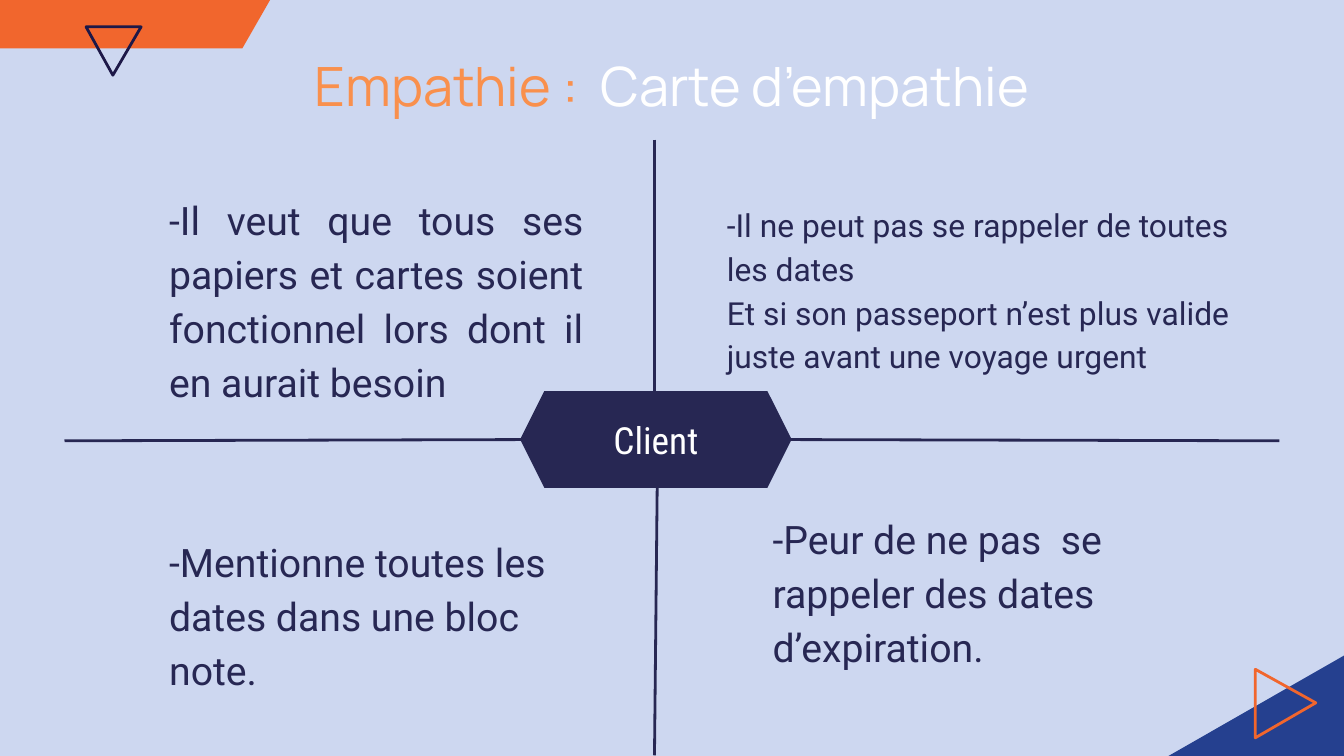
"""Build the client empathy map slide."""
from lxml import etree
from pptx import Presentation
from pptx.dml.color import RGBColor
from pptx.enum.shapes import MSO_CONNECTOR, MSO_SHAPE
from pptx.enum.text import MSO_ANCHOR, MSO_AUTO_SIZE, PP_ALIGN
from pptx.oxml.ns import qn
from pptx.util import Inches, Pt

LEFT, CENTER, JUSTIFY = PP_ALIGN.LEFT, PP_ALIGN.CENTER, PP_ALIGN.JUSTIFY
TOP, MIDDLE = MSO_ANCHOR.TOP, MSO_ANCHOR.MIDDLE
NO_FIT, FIT_SHAPE = MSO_AUTO_SIZE.NONE, MSO_AUTO_SIZE.SHAPE_TO_FIT_TEXT
HEXAGON, DIAMOND = MSO_SHAPE.HEXAGON, MSO_SHAPE.DIAMOND
STRAIGHT = MSO_CONNECTOR.STRAIGHT

THEME = {
    "background": "CDD7F0", "navy": "272753", "ink": "1D1848", "blue": "25408F",
    "orange": "F1662D", "peach": "F9904D", "white": "FFFFFF",
    "title_font": "Manrope", "body_font": "Roboto", "label_font": "Roboto Condensed",
    "title_size": 29, "label_size": 20, "body_size": 21, "small_size": 17,
    "line_width": 1.5,
}

TITLE = [[("Empathie :  ", "peach"), ("Carte d’empathie", "white")]]
CENTER_LABEL = [[("Client", "white")]]
QUADRANTS = [
    ((1.16, 1.31, 3.28, 1.77), "body_size", JUSTIFY,
     ["-Il veut que tous ses papiers et cartes soient fonctionnel lors dont il en aurait besoin"]),
    ((5.31, 1.39, 3.98, 1.48), "small_size", LEFT,
     ["-Il ne peut pas se rappeler de toutes les dates",
      "Et si son passeport n’est plus valide juste avant une voyage urgent"]),
    ((5.65, 3.68, 3.28, 1.37), "body_size", LEFT,
     ["-Peur de ne pas  se rappeler des dates d’expiration."]),
    ((1.16, 3.85, 3.28, 1.37), "body_size", LEFT,
     ["-Mentionne toutes les dates dans une bloc note."]),
]
AXES = [
    ((5.46, 3.27), (9.52, 3.28)),
    ((0.48, 3.28), (4.3, 3.27)),
    ((4.89, 3.63), (4.87, 5.62)),
    ((4.87, 1.04), (4.87, 2.91)),
]
CORNERS = [
    (HEXAGON, (-0.22, -0.36, 2.23, 0.72), "orange", 0.286),
    (DIAMOND, (8.66, 4.81, 2.92, 1.67), "blue", None),
]
TRIANGLES = [
    ([(1.05, 0.2), (0.84, 0.56), (0.64, 0.2)], "ink"),
    ([(9.34, 4.98), (9.79, 5.23), (9.34, 5.49)], "orange"),
]


def color(name):
    return RGBColor.from_string(THEME[name])


def write_text(shape, paragraphs, *, font, size, align=LEFT, anchor=TOP,
               spacing=1.0, after=0, fit=NO_FIT):
    frame = shape.text_frame
    frame.word_wrap = True
    frame.auto_size = fit
    frame.vertical_anchor = anchor
    frame.margin_left = frame.margin_right = Inches(0.1)
    frame.margin_top = frame.margin_bottom = Inches(0.1)
    for index, spans in enumerate(paragraphs):
        para = frame.add_paragraph() if index else frame.paragraphs[0]
        para.alignment = align
        para.line_spacing = spacing
        para.space_after = Pt(after if index == len(paragraphs) - 1 else 0)
        for text, tint in spans:
            span = para.add_run()
            span.text = text
            span.font.name = THEME[font]
            span.font.size = Pt(THEME[size])
            span.font.color.rgb = color(tint)


def add_box(page, bounds):
    return page.shapes.add_textbox(*map(Inches, bounds))


def add_solid(page, kind, bounds, fill, adjustment=None):
    shape = page.shapes.add_shape(kind, *map(Inches, bounds))
    shape.shadow.inherit = False
    shape.fill.solid()
    shape.fill.fore_color.rgb = color(fill)
    shape.line.fill.background()
    if adjustment is not None:
        shape.adjustments[0] = adjustment
    return shape


def style_line(line, tint):
    line.color.rgb = color(tint)
    line.width = Pt(THEME["line_width"])


def add_triangle(page, points, tint):
    start, *rest = [(Inches(x), Inches(y)) for x, y in points]
    builder = page.shapes.build_freeform(*start)
    builder.add_line_segments(rest, close=True)
    shape = builder.convert_to_shape()
    shape.shadow.inherit = False
    shape.fill.background()
    style_line(shape.line, tint)


def add_axis(page, start, end):
    axis = page.shapes.add_connector(STRAIGHT, *map(Inches, start + end))
    style_line(axis.line, "navy")
    etree.SubElement(axis._element.spPr, qn("a:effectLst"))


def main():
    deck = Presentation()
    deck.slide_width = Inches(10)
    deck.slide_height = deck.slide_width * 9 // 16
    page = deck.slides.add_slide(deck.slide_layouts[6])
    page.background.fill.solid()
    page.background.fill.fore_color.rgb = color("background")

    for corner, triangle in zip(CORNERS, TRIANGLES):
        add_solid(page, *corner)
        add_triangle(page, *triangle)

    write_text(add_box(page, (1.48, 0.28, 7.04, 0.7)), TITLE, font="title_font",
               size="title_size", align=CENTER, anchor=MIDDLE)

    for start, end in AXES:
        add_axis(page, start, end)
    label = add_solid(page, HEXAGON, (3.87, 2.91, 2.02, 0.72), "navy", 0.25)
    write_text(label, CENTER_LABEL, font="label_font", size="label_size",
               align=CENTER, anchor=MIDDLE)

    for bounds, size, align, lines in QUADRANTS:
        write_text(add_box(page, bounds), [[(line, "navy")] for line in lines],
                   font="body_font", size=size, align=align, spacing=1.15,
                   after=18, fit=FIT_SHAPE)

    deck.save("out.pptx")


if __name__ == "__main__":
    main()
